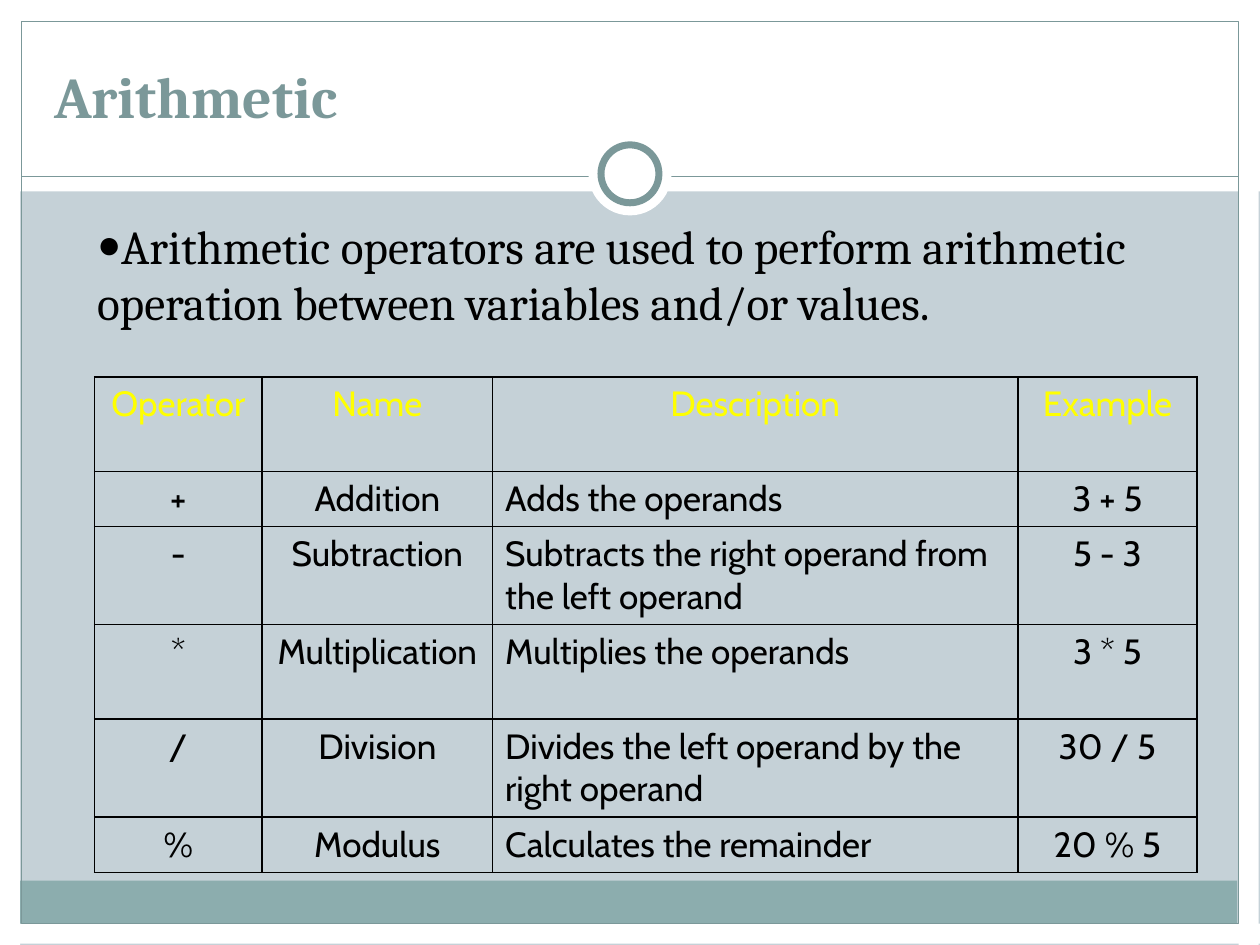
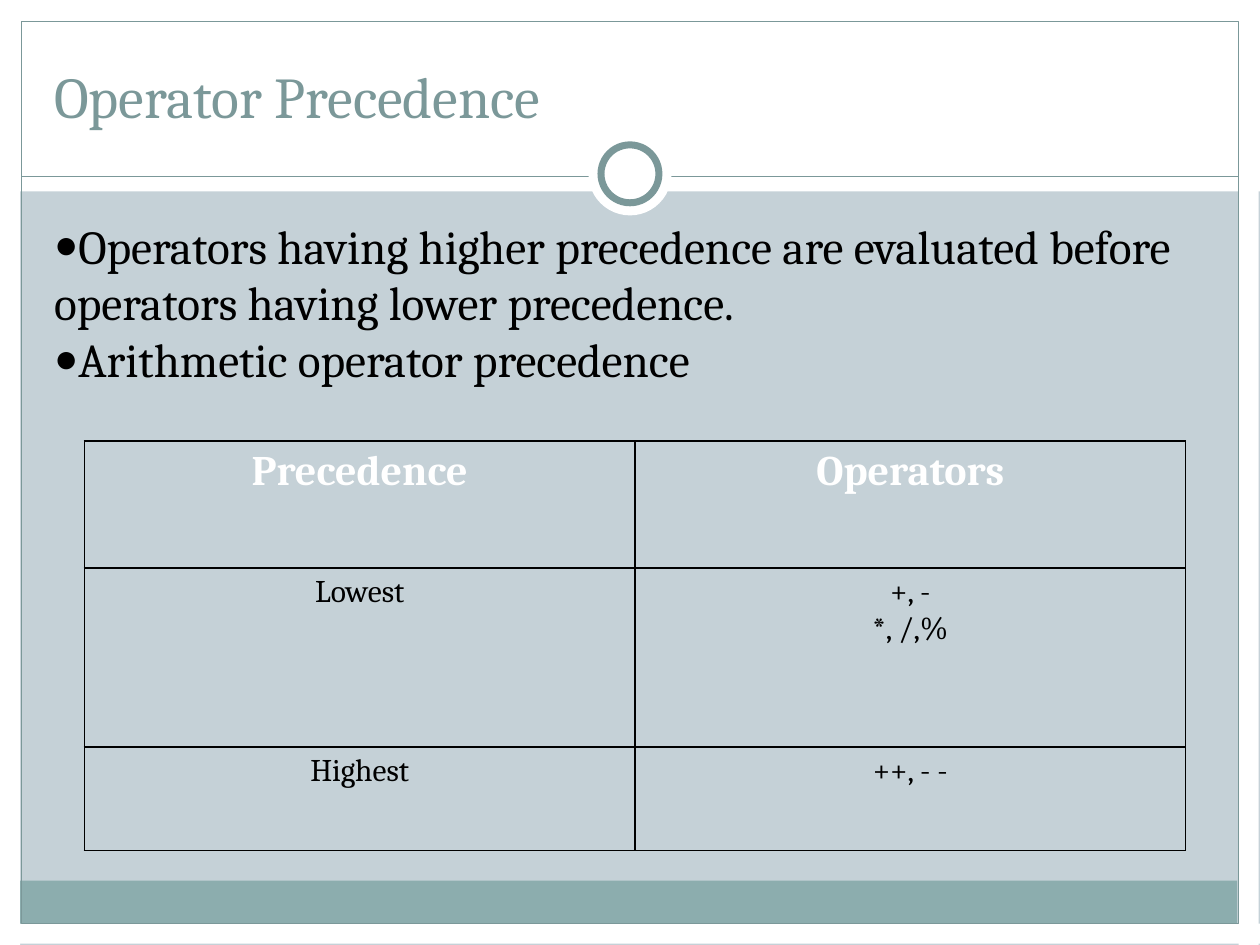
import pptx
import pptx.util
import pptx.dml.color
import pptx.enum.shapes
import pptx.enum.text
import pptx.oxml
import pptx.oxml.ns
from dataclasses import dataclass
from lxml import etree

Inches, Pt = pptx.util.Inches, pptx.util.Pt
RGB = pptx.dml.color.RGBColor.from_string
SHAPE = pptx.enum.shapes.MSO_SHAPE
ALIGN = pptx.enum.text.PP_ALIGN
ANCHOR = pptx.enum.text.MSO_ANCHOR
NO_AUTOFIT = pptx.enum.text.MSO_AUTO_SIZE.NONE
qn = pptx.oxml.ns.qn


@dataclass(frozen=True)
class Theme:
    background: str = "C5D1D7"
    paper: str = "FFFFFF"
    accent: str = "7B9899"
    footer: str = "8CADAE"
    ink: str = "000000"
    yellow: str = "FFFF00"
    serif: str = "Cambria"
    sans: str = "Cabin"
    title_size: int = 33
    body_size: int = 27
    hairline: float = 0.75
    ring_line: float = 4
    grid_line: float = 1


theme = Theme()

# Slide contents
lessons = [
    {
        "title": "Arithmetic",
        "title_bold": True,
        "points": ["Arithmetic operators are used to perform arithmetic operation "
                   "between variables and/or values."],
        "points_box": (0.67, 1.67, 8.91, 4.91),
        "table_at": (0.75, 2.99),
        "columns": [1.33, 1.83, 4.17, 1.42],
        "heights": [0.75, 0.43, 0.75, 0.75, 0.75, 0.43],
        "left_column": 2,
        "header_style": (theme.sans, 20, theme.yellow, False),
        "cell_style": (theme.sans, 20, theme.ink, False),
        "rows": [
            ["Operator", "Name", "Description", "Example"],
            ["+", "Addition", "Adds the operands", "3 + 5"],
            ["-", "Subtraction", "Subtracts the right operand from the left operand", "5 - 3"],
            ["*", "Multiplication", "Multiplies the operands", "3 * 5"],
            ["/", "Division", "Divides the left operand by the right operand", "30 / 5"],
            ["%", "Modulus", "Calculates the remainder", "20 % 5"],
        ],
    },
    {
        "title": "Operator Precedence",
        "title_bold": False,
        "points": ["Operators having higher precedence are evaluated before "
                   "operators having lower precedence.",
                   "Arithmetic operator precedence"],
        "points_box": (0.33, 1.67, 9.3, 5),
        "table_at": (0.67, 3.5),
        "columns": [4.37, 4.37],
        "heights": [1.01, 1.42, 0.82],
        "left_column": None,
        "header_style": (theme.serif, 24, theme.paper, True),
        "cell_style": (theme.serif, 18, theme.ink, False),
        "rows": [
            ["Precedence", "Operators"],
            ["Lowest", "+, -\n*, /,%"],
            ["Highest", "++, - -"],
        ],
    },
]


def style_paragraph(paragraph, font_name, size, color, bold, align=ALIGN.LEFT):
    paragraph.alignment = align
    paragraph.space_before = Pt(0)
    font = paragraph.font
    font.name, font.size, font.bold = font_name, Pt(size), bold
    font.color.rgb = RGB(color)


def place(item, box):
    item.left, item.top, item.width, item.height = (Inches(v) for v in box)


deck = pptx.Presentation()
deck.slide_width, deck.slide_height = Inches(10), Inches(7.5)

# Shared layout: background, without date, footer and number
layout = deck.slide_layouts[1]
layout.background.fill.solid()
layout.background.fill.fore_color.rgb = RGB(theme.background)
for placeholder in list(layout.placeholders)[2:]:
    placeholder.element.getparent().remove(placeholder.element)

slides = [deck.slides.add_slide(layout) for lesson in lessons]

# Shared frame, drawn once and then moved into the layout: preset, box, fill, line width
frame_parts = [
    (SHAPE.RECTANGLE, (0, 7.33, 10, 0.16), theme.paper, None),
    (SHAPE.RECTANGLE, (0, 0, 10, 1.52), theme.paper, None),
    (SHAPE.RECTANGLE, (0, 0, 0.16, 7.5), theme.paper, None),
    (SHAPE.RECTANGLE, (9.83, 0, 0.16, 7.5), theme.paper, None),
    (SHAPE.RECTANGLE, (0.16, 6.99, 9.66, 0.34), theme.footer, None),
    (SHAPE.RECTANGLE, (0.17, 0.17, 9.66, 7.16), None, theme.hairline),
    (SHAPE.OVAL, (4.67, 1.05, 0.66, 0.66), theme.paper, None),
    (SHAPE.OVAL, (4.77, 1.15, 0.46, 0.46), theme.paper, theme.ring_line),
]
canvas = slides[0].shapes
divider = canvas.add_connector(pptx.enum.shapes.MSO_CONNECTOR.STRAIGHT,
                               Inches(0.17), Inches(1.4), Inches(9.83), Inches(1.4))
divider.line.color.rgb = RGB(theme.accent)
divider.line.width = Pt(theme.hairline)
etree.SubElement(divider.element.spPr, qn("a:effectLst"))

frame = []
for preset, box, fill, line_width in frame_parts:
    part = canvas.add_shape(preset, *(Inches(v) for v in box))
    part.shadow.inherit = False
    if fill:
        part.fill.solid()
        part.fill.fore_color.rgb = RGB(fill)
    else:
        part.fill.background()
    if line_width:
        part.line.color.rgb = RGB(theme.accent)
        part.line.width = Pt(line_width)
    else:
        part.line.fill.background()
    frame.append(part)
frame.insert(6, divider)  # above the panels, below the ring
for position, part in enumerate(frame, start=2):
    layout.shapes.element.insert(position, part.element)

for slide, lesson in zip(slides, lessons):
    # Title
    heading = slide.shapes.title
    place(heading, (0.33, 0.25, 9.33, 0.83))
    heading.text_frame.text = lesson["title"]
    heading.text_frame.auto_size = NO_AUTOFIT
    heading.text_frame.vertical_anchor = ANCHOR.BOTTOM
    style_paragraph(heading.text_frame.paragraphs[0], theme.serif, theme.title_size,
                    theme.accent, lesson["title_bold"])

    # Bulleted points
    points = slide.placeholders[1]
    place(points, lesson["points_box"])
    points.text_frame.text = "\n".join(lesson["points"])
    points.text_frame.auto_size = NO_AUTOFIT
    for point in points.text_frame.paragraphs:
        properties = point._p.get_or_add_pPr()
        properties.set("marL", "0")
        properties.set("indent", "0")
        etree.SubElement(properties, qn("a:buSzPct"), val="85000")
        etree.SubElement(properties, qn("a:buChar"), char="●")
        style_paragraph(point, theme.serif, theme.body_size, theme.ink, False)

    # Operator table
    rows, columns, heights = lesson["rows"], lesson["columns"], lesson["heights"]
    box = (*lesson["table_at"], sum(columns), sum(heights))
    operators = slide.shapes.add_table(len(rows), len(columns),
                                       *(Inches(v) for v in box)).table
    operators.first_row = operators.horz_banding = False
    for column, width in zip(operators.columns, columns):
        column.width = Inches(width)
    for r, (row, height) in enumerate(zip(rows, heights)):
        operators.rows[r].height = Inches(height)
        style = lesson["cell_style"] if r else lesson["header_style"]
        for c, words in enumerate(row):
            cell = operators.cell(r, c)
            cell.fill.background()
            cell.text_frame.text = words
            left = r > 0 and c == lesson["left_column"]
            for paragraph in cell.text_frame.paragraphs:
                style_paragraph(paragraph, *style, ALIGN.LEFT if left else ALIGN.CENTER)
            # Cell borders come before the fill
            cell_properties = cell._tc.get_or_add_tcPr()
            for position, side in enumerate(("lnL", "lnR", "lnT", "lnB")):
                border = etree.Element(qn(f"a:{side}"), w=str(Pt(theme.grid_line)))
                ink = etree.SubElement(border, qn("a:solidFill"))
                etree.SubElement(ink, qn("a:srgbClr"), val=theme.ink)
                cell_properties.insert(position, border)

deck.save("out.pptx")
